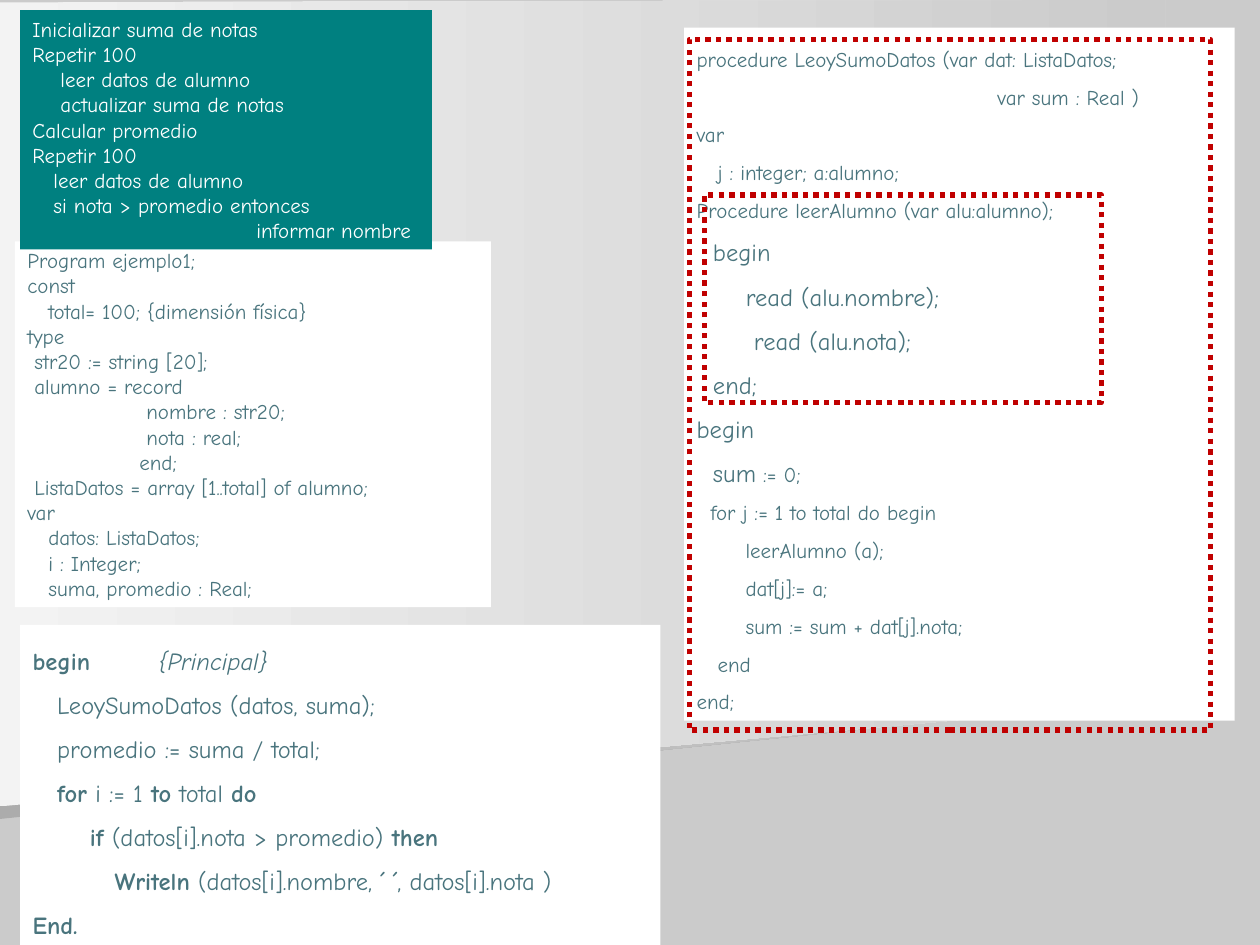
from dataclasses import dataclass

from lxml import etree
from pptx import Presentation
from pptx.dml.color import RGBColor
from pptx.enum import dml, shapes, text
from pptx.oxml import ns
from pptx.util import Pt


@dataclass(frozen=True)
class Theme:
    font: str = "Comic Neue"
    small: int = 12
    large: int = 14
    ink: str = "49747D"
    white: str = "FFFFFF"
    teal: str = "008080"
    red: str = "C00000"
    back: str = "CBCBCB"
    shade: str = "ACACAC"
    light: str = "F3F3F3"


def rgb(code):
    return RGBColor.from_string(code)


class Page:
    def __init__(self, slide, theme):
        self.slide, self.theme = slide, theme
        fill = slide.background.fill
        fill.solid()
        fill.fore_color.rgb = rgb(theme.back)

    def facet(self, points, start):
        """Draw a polygon that fades from start to the background colour."""
        (left, top), *rest = [(Pt(x), Pt(y)) for x, y in points]
        outline = self.slide.shapes.build_freeform(left, top)
        outline.add_line_segments(rest, close=True)
        shape = outline.convert_to_shape()
        shape.shadow.inherit = False
        shape.line.fill.background()
        shape.fill.gradient()
        shape.fill.gradient_angle = 0
        for stop, code in zip(shape.fill.gradient_stops, (start, self.theme.back)):
            stop.color.rgb = rgb(code)

    def rect(self, box):
        shape = self.slide.shapes.add_shape(
            shapes.MSO_SHAPE.RECTANGLE, *map(Pt, box))
        shape.shadow.inherit = False
        return shape

    def frame(self, box):
        shape = self.rect(box)
        shape.fill.background()
        shape.line.color.rgb = rgb(self.theme.red)
        shape.line.width = Pt(3)
        shape.line.dash_style = dml.MSO_LINE.ROUND_DOT

    def panel(self, box, lines, fill, ink, size, gap=1.0):
        shape = self.rect(box)
        shape.fill.solid()
        shape.fill.fore_color.rgb = rgb(fill)
        shape.line.fill.background()
        body = shape.text_frame
        body.word_wrap = True
        body.auto_size = text.MSO_AUTO_SIZE.SHAPE_TO_FIT_TEXT
        body.vertical_anchor = text.MSO_ANCHOR.TOP
        for i, line in enumerate(lines):
            para = body.paragraphs[0] if i == 0 else body.add_paragraph()
            self.row(para, line, ink, size)
            para.alignment = text.PP_ALIGN.JUSTIFY
            para.line_spacing = gap

    def row(self, para, line, ink, size):
        """Fill a paragraph from a string or from (text, marks) parts.

        Marks: b bold, i italic, l large.
        """
        parts = [(line, "")] if isinstance(line, str) else line
        if any("\t" in words for words, _ in parts):
            self.tab(para, 72)
        for words, marks in parts:
            run = para.add_run()
            run.text = words
            font = run.font
            font.name = self.theme.font
            font.size = Pt(self.theme.large if "l" in marks else size)
            font.bold, font.italic = "b" in marks, "i" in marks
            font.color.rgb = rgb(ink)

    def tab(self, para, at):
        props = para._p.get_or_add_pPr()
        stops = etree.SubElement(props, ns.qn("a:tabLst"))
        etree.SubElement(stops, ns.qn("a:tab"), pos=str(Pt(at)), algn="l")


PLAN = """Inicializar suma de notas
Repetir 100
    leer datos de alumno
    actualizar suma de notas
Calcular promedio
Repetir 100
   leer datos de alumno
   si nota > promedio entonces
                                informar nombre""".split("\n")

DATA = """Program ejemplo1;
const
   total= 100; {dimensión física}
type
 str20 := string [20];
 alumno = record
                 nombre : str20;
                 nota : real;
                end;
 ListaDatos = array [1..total] of alumno;
var
   datos: ListaDatos;
   i : Integer;
   suma, promedio : Real;""".split("\n")

LOAD = [
    "procedure LeoySumoDatos (var dat: ListaDatos;",
    "                                           var sum : Real )",
    "var",
    "   j : integer; a:alumno;",
    "Procedure leerAlumno (var alu:alumno);",
    [("  begin", "l")],
    [("      read (alu.nombre);", "l")],
    [("       read (alu.nota);", "l")],
    [("  end;", "l")],
    [("begin", "l")],
    [("  sum", "l"), (" := 0;", "")],
    "  for j := 1 to total do begin",
    "       leerAlumno (a);",
    "       dat[j]:= a;",
    "       sum := sum + dat[j].nota;",
    "   end",
    "end;",
]

MAIN = [
    [("begin\t", "b"), ("{Principal}", "i")],
    "   LeoySumoDatos (datos, suma);",
    "   promedio := suma / total;",
    [("   ", ""), ("for", "b"), (" i := 1 ", ""), ("to", "b"),
     (" total ", ""), ("do", "b")],
    [("       ", ""), ("if", "b"), (" (datos[i].nota > promedio) ", ""),
     ("then", "b")],
    [("          ", ""), ("Writeln", "b"),
     (" (datos[i].nombre, ´ ´, datos[i].nota )", "")],
    [("End.", "b")],
]


def main():
    deck = Presentation()
    deck.slide_width, deck.slide_height = Pt(720), Pt(540)
    look = Theme()
    page = Page(deck.slides.add_slide(deck.slide_layouts[6]), look)

    page.facet([(644.4, 401), (0, 468), (0, 336.2), (644.4, 180)], look.shade)
    page.facet([(663.8, 401), (0, 460.8), (0, 1.4), (666, 0)], look.light)

    page.panel((8.6, 138, 272, 209), DATA, look.white, look.ink, look.small)
    page.panel((391, 15.8, 314.6, 396), LOAD, look.white, look.ink,
               look.small, 1.5)
    page.panel((11.5, 357.1, 365.8, 183.6), MAIN, look.white, look.ink,
               look.large, 1.5)
    page.frame((402.5, 111.4, 226.8, 118.8))
    page.frame((393.8, 22.6, 298, 394.6))
    page.panel((11.5, 5.8, 235.4, 136.8), PLAN, look.teal, look.white,
               look.small)
    deck.save("out.pptx")


if __name__ == "__main__":
    main()
